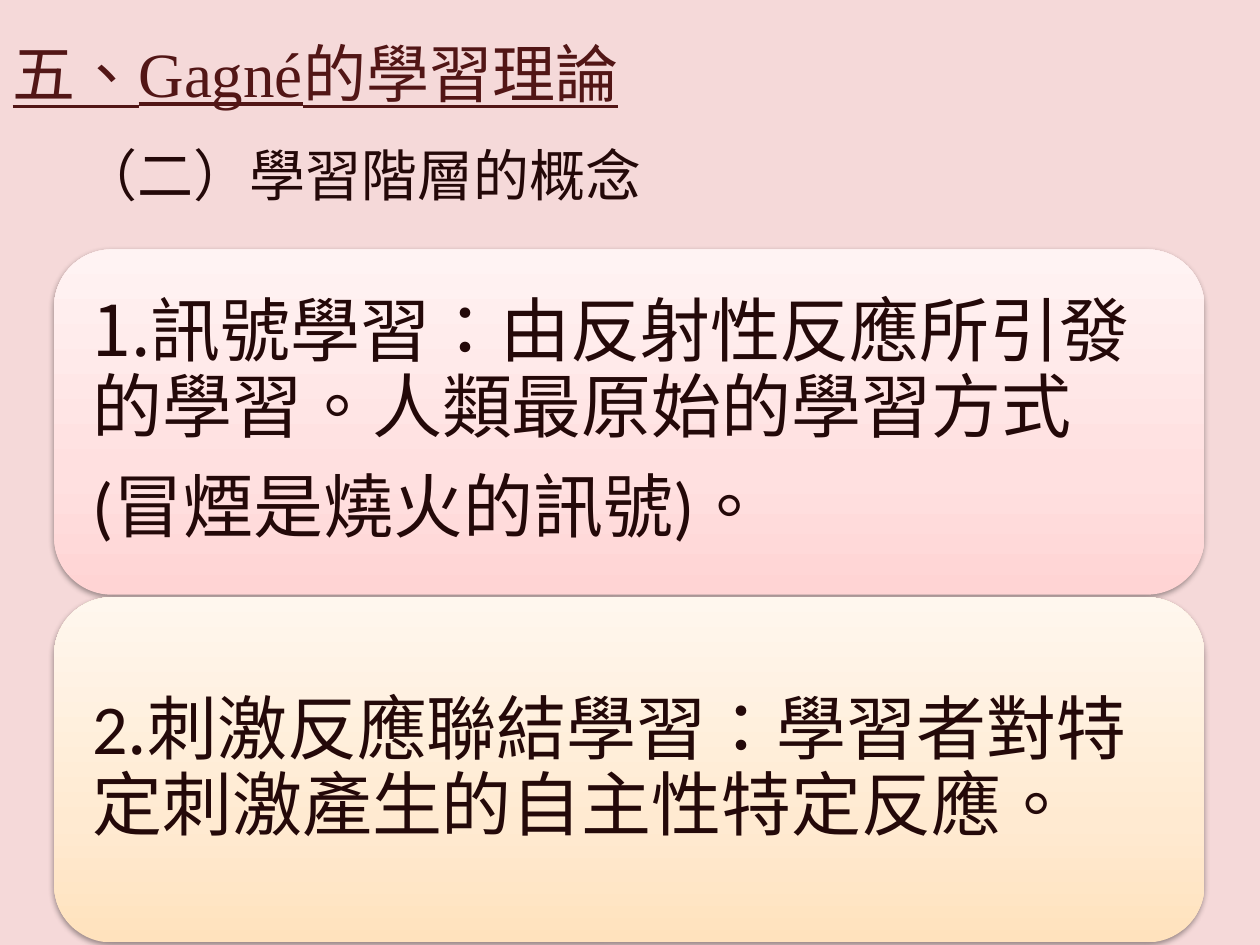
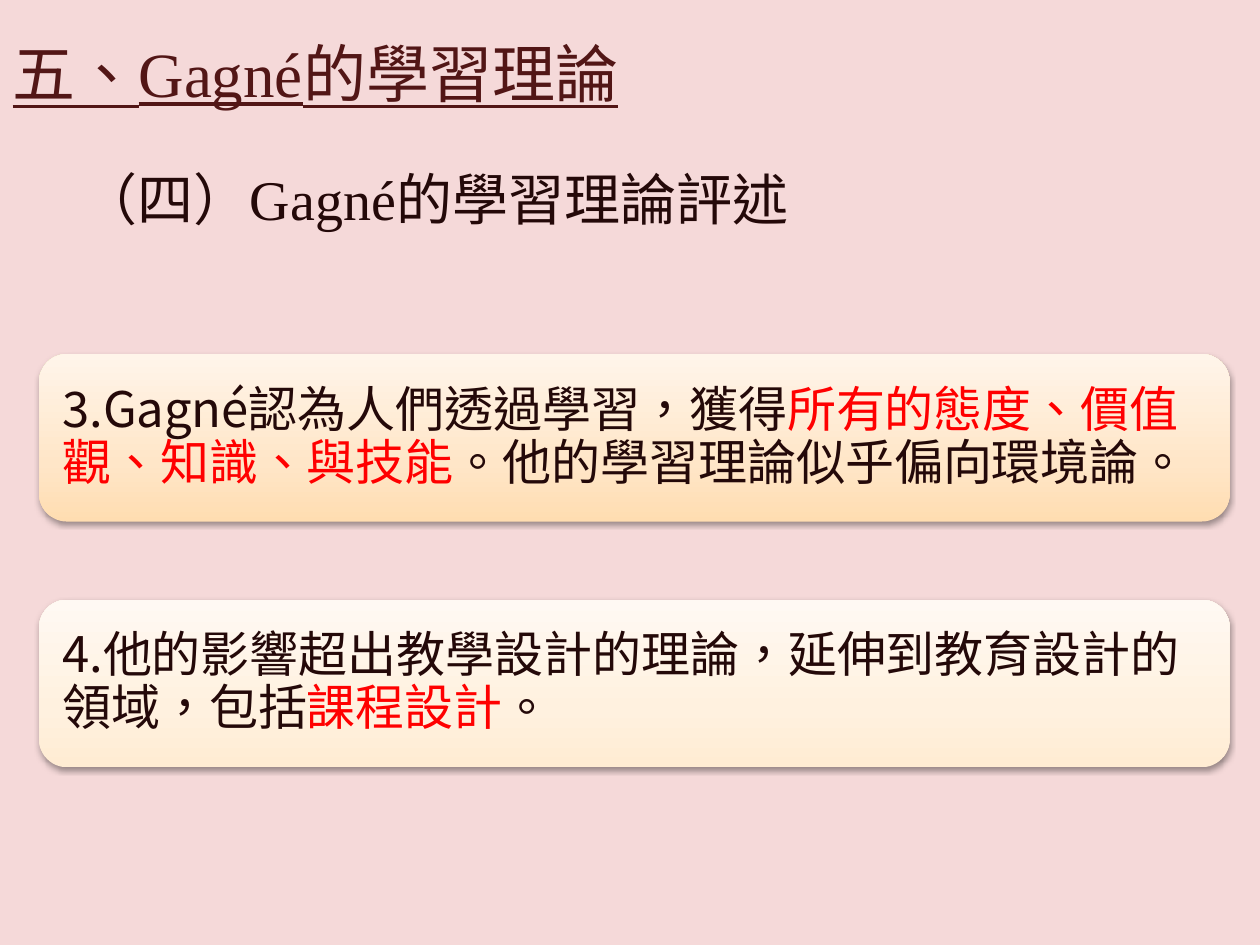
"""Build two slides on Gagné's learning theory."""
from copy import deepcopy

from lxml import etree
from pptx import Presentation
from pptx.dml.color import RGBColor
from pptx.enum.shapes import MSO_SHAPE
from pptx.enum.text import MSO_ANCHOR, MSO_AUTO_SIZE, PP_ALIGN
from pptx.oxml.ns import qn
from pptx.util import Inches, Pt

ROUND = MSO_SHAPE.ROUNDED_RECTANGLE
TOP, MIDDLE = MSO_ANCHOR.TOP, MSO_ANCHOR.MIDDLE
LEFT = PP_ALIGN.LEFT
FIXED = MSO_AUTO_SIZE.NONE

COLORS = {"back": "F5D9D9", "title": "521616", "text": "240909", "key": "FF0000"}
FADES = {
    "pink": ("FFD4D4", "FFE0E0", "FFF3F3"),
    "peach": ("FFE2BD", "FFEAD1", "FFF7EE"),
    "orange": ("FFDDB1", "FFE6C8", "FFF5EA"),
    "cream": ("FFECD3", "FFF1DF", "FFF9F3"),
}
STOPS = (0, 0.35, 1)
CJK, SERIF, SANS = "Noto Sans CJK SC", "Times New Roman", "Calibri"
JP = "Noto Sans CJK JP"

TITLE = [[("五、",), ("Gagné", {"face": SERIF}), ("的學習理論",)]]
KEY = {"color": "key"}
SLIDES = [
    {
        "head": [[("（二）學習階層的概念",)]],
        "head_box": (0.55, 1.07, 4.69, 0.64),
        "first": (0.43, 1.98, 9.13, 2.74), "pitch": 2.76,
        "size": 40, "pad": 0.17,
        "cards": [
            ("pink", [
                [("1.訊號學習：由反射性反應所引發的學習。",),
                 ("人類最原始的學習方式", {"face": SANS})],
                [("(冒煙是燒火的訊號)。", {"face": SANS})],
            ]),
            ("peach", [
                [("2", {"face": SANS}),
                 (".刺激反應聯結學習：學習者對特定刺激產生的自主性特定反應。", {"face": JP})],
            ]),
        ],
    },
    {
        "head": [[("（四）",), ("Gagné", {"face": SERIF}), ("的學習理論評述",)]],
        "head_box": (0.55, 1.26, 5.81, 0.64),
        "first": (0.31, 2.81, 9.45, 1.33), "pitch": 1.95,
        "size": 28, "pad": 0.12,
        "cards": [
            ("orange", [
                [("3.Gagné認為人們透過學習，獲得",),
                 ("所有的態度、價值觀、知識、與技能", KEY),
                 ("。他的學習理論似乎偏向環境論。",)],
            ]),
            ("cream", [
                [("4.他的影響超出教學設計的理論，延伸到教育設計的領域，包括",),
                 ("課程設計", KEY), ("。",)],
            ]),
        ],
    },
]


def write(shape, paras, size, color="text", under=None, anchor=TOP,
          pad=None, line=None, after=None):
    """Fill a shape with paragraphs of formatted runs."""
    frame = shape.text_frame
    frame.word_wrap = True
    frame.auto_size = FIXED
    frame.vertical_anchor = anchor
    if pad:
        frame.margin_left = frame.margin_right = Inches(pad)
        frame.margin_top = frame.margin_bottom = Inches(pad)
    for i, runs in enumerate(paras):
        para = frame.add_paragraph() if i else frame.paragraphs[0]
        para.alignment = LEFT
        if line:
            para.line_spacing = line
        if after:
            para.space_after = Pt(after)
        for text, *style in runs:
            look = {"face": CJK, "color": color, **(style[0] if style else {})}
            run = para.add_run()
            run.text = text
            font = run.font
            font.size, font.underline, font.name = Pt(size), under, look["face"]
            font.color.rgb = RGBColor.from_string(COLORS[look["color"]])
            props = run._r.get_or_add_rPr()
            props.set("lang", "zh-TW")
            east = JP if look["face"] == JP else CJK
            etree.SubElement(props, qn("a:ea")).set("typeface", east)


def add_card(slide, box, fade):
    """Add a rounded card with a vertical fade and a soft shadow."""
    card = slide.shapes.add_shape(ROUND, *map(Inches, box))
    card.line.fill.background()
    card.fill.gradient()
    card.fill.gradient_angle = 90
    stops = card._element.spPr.find(".//" + qn("a:gsLst"))
    stops.append(deepcopy(stops[-1]))
    for stop, place, tint in zip(card.fill.gradient_stops, STOPS, FADES[fade]):
        stop.position = place
        stop.color.rgb = RGBColor.from_string(tint)
    card.shadow.inherit = False
    glow = etree.SubElement(card._element.spPr.find(qn("a:effectLst")),
                            qn("a:outerShdw"), blurRad="40000", dist="20000",
                            dir="5400000", rotWithShape="0")
    black = etree.SubElement(glow, qn("a:srgbClr"), val="000000")
    etree.SubElement(black, qn("a:alpha"), val="38000")
    return card


def add_slide(deck, data):
    """Add one slide with its title, heading and cards."""
    slide = deck.slides.add_slide(deck.slide_layouts[5])
    title = slide.shapes.title
    title.left, title.top, title.width, title.height = map(
        Inches, (0, 0.22, 9.76, 0.71))
    write(title, TITLE, 36, color="title", under=True)
    head = slide.shapes.add_textbox(*map(Inches, data["head_box"]))
    write(head, data["head"], 32)
    left, top, width, height = data["first"]
    size = data["size"]
    for i, (fade, paras) in enumerate(data["cards"]):
        card = add_card(slide, (left, top + i * data["pitch"], width, height), fade)
        write(card, paras, size, anchor=MIDDLE, pad=data["pad"],
              line=0.9, after=round(size * 0.35))


def main():
    """Build and save the deck."""
    deck = Presentation()
    deck.slide_width, deck.slide_height = Inches(10), Inches(7.5)
    back = deck.slide_master.background.fill
    back.solid()
    back.fore_color.rgb = RGBColor.from_string(COLORS["back"])
    for data in SLIDES:
        add_slide(deck, data)
    deck.save("out.pptx")


if __name__ == "__main__":
    main()
